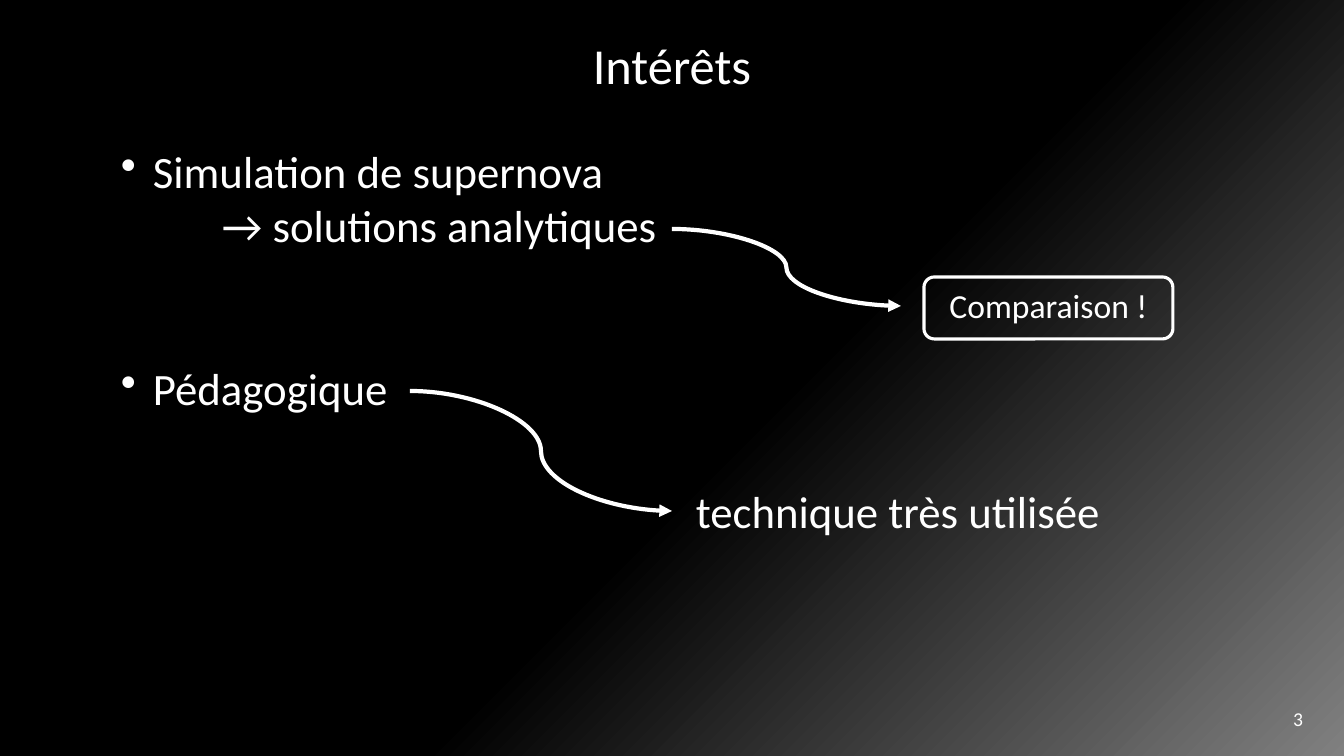
import lxml.etree
import pptx
import pptx.dml.color
import pptx.enum.shapes
import pptx.enum.text
import pptx.oxml.ns
import pptx.util

SLIDE_WIDTH, SLIDE_HEIGHT = 1344, 756
EMU_PER_PX = 12192000 / SLIDE_WIDTH
FONT = "Calibri"
COLORS = {"ink": "FFFFFF", "night": "000000", "haze": "808080"}
ALIGN = pptx.enum.text.PP_ALIGN
ANCHOR = pptx.enum.text.MSO_ANCHOR


def px(length):
    """Turn pixels into EMU."""
    return pptx.util.Emu(round(length * EMU_PER_PX))


def rgb(name):
    """Look up a named colour."""
    return pptx.dml.color.RGBColor.from_string(COLORS[name])


def add_xml(parent, tag, **attributes):
    """Append a DrawingML element to its parent."""
    return lxml.etree.SubElement(parent, pptx.oxml.ns.qn(tag), **attributes)


def write(paragraph, text, size=32, align=ALIGN.LEFT, bullet=None, margin=0,
          indent=0, before=0):
    """Write one formatted paragraph."""
    paragraph.alignment = align
    if before:
        paragraph.space_before = pptx.util.Pt(before)
    properties = paragraph._p.get_or_add_pPr()
    properties.set("marL", str(px(margin)))
    properties.set("indent", str(px(indent)))
    if bullet:
        add_xml(properties, "a:buChar", char=bullet)
    else:
        add_xml(properties, "a:buNone")
    run = paragraph.add_run()
    run.text = text
    run.font.name = FONT
    run.font.size = pptx.util.Pt(size)
    run.font.color.rgb = rgb("ink")


def add_text_area(slide, left, top, width, height, anchor=ANCHOR.TOP, wrap=True):
    """Add an empty text box and return its frame."""
    frame = slide.shapes.add_textbox(px(left), px(top), px(width), px(height)).text_frame
    frame.word_wrap = wrap
    frame.vertical_anchor = anchor
    return frame


def paint_background(slide):
    """Fill the background with a diagonal gradient."""
    fill = slide.background.fill
    fill.gradient()
    fill.gradient_angle = 315
    for stop, position, color in zip(fill.gradient_stops, (0.56, 1), ("night", "haze")):
        stop.position = position
        stop.color.rgb = rgb(color)


def place_title(slide, left, top, width, height):
    """Place the slide title."""
    title = slide.shapes.title
    title.left, title.top, title.width, title.height = map(px, (left, top, width, height))
    title.text_frame.vertical_anchor = ANCHOR.TOP
    write(title.text_frame.paragraphs[0], "Intérêts", size=36, align=ALIGN.CENTER)


def add_interests(slide, left, top, width, height):
    """List the two interests and the sub-point."""
    frame = add_text_area(slide, left, top, width, height)
    point = {"bullet": "•", "margin": 32, "indent": -32}
    write(frame.paragraphs[0], "Simulation de supernova", **point)
    write(frame.add_paragraph(), "→ solutions analytiques", margin=101)
    write(frame.add_paragraph(), "Pédagogique", before=78, **point)


def add_curved_arrow(slide, left, top, width, height):
    """Draw a curved arrow from the top left to the bottom right of its box."""
    arrow = slide.shapes.add_connector(
        pptx.enum.shapes.MSO_CONNECTOR.CURVE,
        px(left), px(top), px(left + width), px(top + height))
    arrow.line.color.rgb = rgb("ink")
    arrow.line.width = pptx.util.Pt(3)
    properties = arrow.element.spPr
    add_xml(properties.find(pptx.oxml.ns.qn("a:ln")), "a:tailEnd", type="triangle")
    add_xml(properties, "a:effectLst")


def add_comparison(slide, left, top, width, height):
    """Add the outlined comparison label."""
    comparison = slide.shapes.add_shape(
        pptx.enum.shapes.MSO_SHAPE.ROUNDED_RECTANGLE,
        px(left), px(top), px(width), px(height))
    comparison.shadow.inherit = False
    comparison.fill.background()
    comparison.line.color.rgb = rgb("ink")
    comparison.line.width = pptx.util.Pt(2.25)
    frame = comparison.text_frame
    frame.word_wrap = True
    frame.vertical_anchor = ANCHOR.MIDDLE
    frame.margin_top, frame.margin_bottom = px(4), px(10)
    write(frame.paragraphs[0], "Comparaison !", size=24, align=ALIGN.CENTER)


def add_technique(slide, left, top, width, height):
    """Add the remark that the second arrow points to."""
    frame = add_text_area(slide, left, top, width, height, wrap=False)
    write(frame.paragraphs[0], "technique très utilisée")


def add_page_number(slide, left, top, width, height):
    """Add the page number."""
    frame = add_text_area(slide, left, top, width, height, anchor=ANCHOR.MIDDLE)
    write(frame.paragraphs[0], "3", size=14, align=ALIGN.RIGHT)


def main():
    """Build and save the slide."""
    presentation = pptx.Presentation()
    presentation.slide_width = px(SLIDE_WIDTH)
    presentation.slide_height = px(SLIDE_HEIGHT)
    slide = presentation.slides.add_slide(presentation.slide_layouts.get_by_name("Title Only"))
    paint_background(slide)
    place_title(slide, 0, 29, SLIDE_WIDTH, 72)
    add_interests(slide, 111, 139, 726, 281)
    add_curved_arrow(slide, 672, 229, 229, 77)
    add_comparison(slide, 924, 277, 249, 62)
    add_technique(slide, 686, 479, 428, 64)
    add_curved_arrow(slide, 410, 391, 262, 120)
    add_page_number(slide, 1011, 699, 302, 40)
    presentation.save("out.pptx")


if __name__ == "__main__":
    main()
